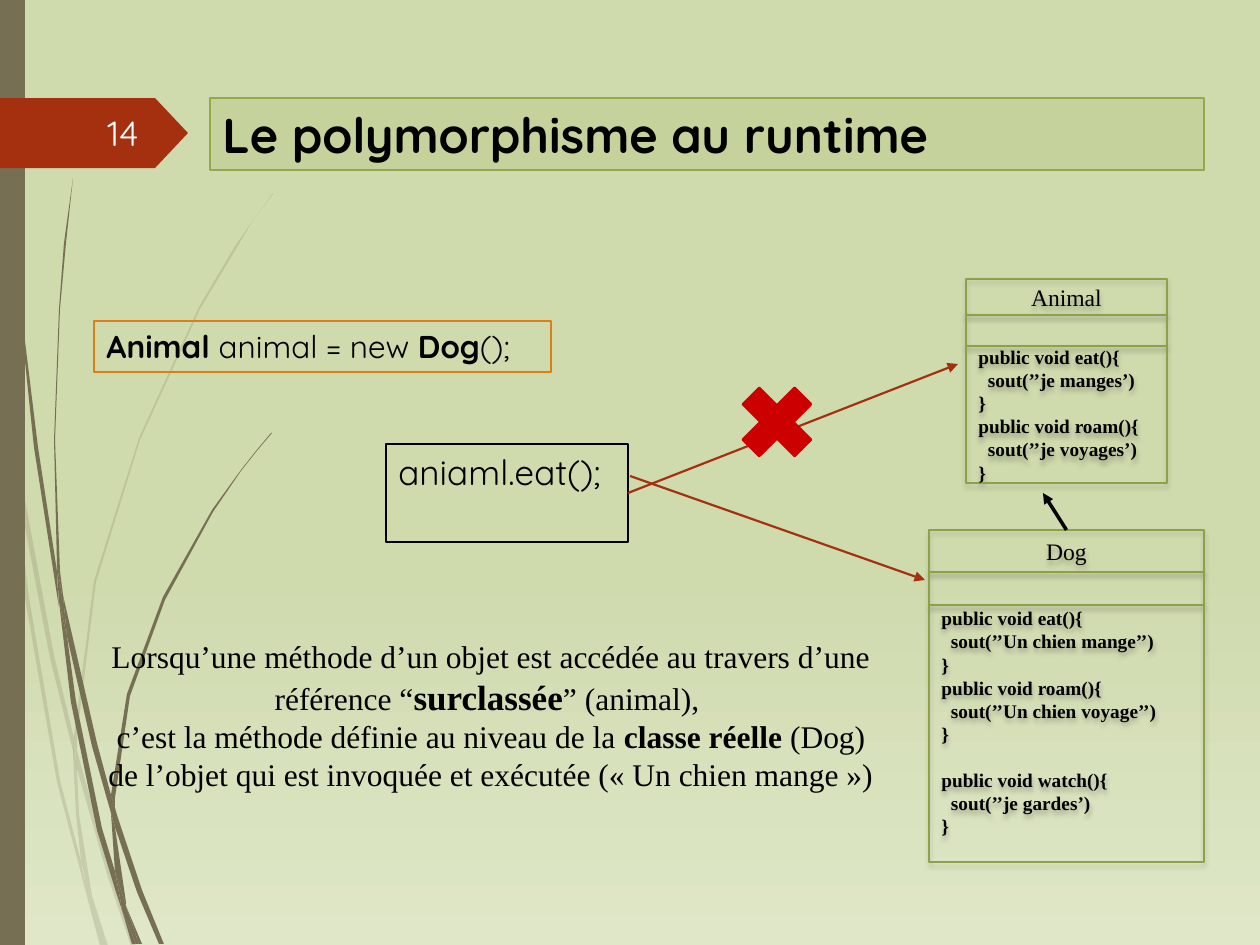
from lxml import etree
from pptx import Presentation, util as u
from pptx.dml.color import RGBColor
from pptx.enum import shapes as es, text as et
from pptx.oxml import parse_xml
from pptx.oxml.ns import qn, nsdecls

SCALE = 914400 / 126  # EMU in one px
W, H = 1260, 945
SANS, SERIF = "Quicksand", "Times New Roman"
C = {"bg": "CFDAAD", "bg_end": "DFE7C8", "stem": "766F54", "accent": "A53010",
     "title": "B6C882", "title_line": "92AA4C", "class": "8BA249",
     "code": "DE7E18", "black": "000000", "white": "FFFFFF", "cross": "CC0000"}
CENTER, RIGHT = et.PP_ALIGN.CENTER, et.PP_ALIGN.RIGHT
MIDDLE = et.MSO_ANCHOR.MIDDLE

# Outlines of the grass blades
PALE_BLADES = [
    [(10, 441), (8, 406), (0, 355), (0, 377), (9, 433)],
    [(50, 658), (74, 755), (74, 738), (54, 655), (13, 435), (15, 474)],
    [(81, 765), (77, 751), (77, 769), (107, 874), (131, 946), (136, 946), (111, 872)],
    [(105, 946), (108, 946), (92, 896)],
    [(81, 861), (60, 780), (28, 591), (15, 474), (10, 441), (24, 592), (57, 782),
     (81, 873), (88, 900), (87, 891)],
    [(73, 755), (76, 814), (81, 861), (84, 872), (92, 896), (91, 890), (79, 814),
     (77, 769), (77, 766)],
    [(77, 736), (96, 582), (140, 440), (200, 309), (236, 249), (253, 220), (273, 194),
     (273, 193), (253, 220), (234, 248), (199, 307), (139, 438), (94, 581), (74, 736),
     (74, 738), (77, 751)],
    [(88, 900), (100, 946), (103, 946)],
    [(77, 766), (77, 769), (77, 751), (74, 738), (73, 755)],
    [(84, 872), (82, 861), (87, 891), (88, 900), (103, 946), (105, 946), (92, 896)]]
DARK_BLADES = [
    [(6, 139), (18, 294), (34, 447), (58, 601), (59, 606), (57, 576), (57, 571),
     (38, 447), (19, 292), (8, 137), (5, 60), (4, 0), (3, 0), (4, 60)],
    [(92, 746), (111, 813), (111, 798), (111, 795), (97, 743), (63, 595), (67, 636)],
    [(118, 818), (115, 808), (115, 827), (137, 892), (159, 944), (164, 944), (142, 890)],
    [(115, 871), (102, 828), (76, 701), (67, 636), (59, 601), (71, 702), (97, 830),
     (116, 892), (122, 910), (121, 903)],
    [(63, 595), (60, 571), (55, 440), (60, 309), (66, 243), (73, 178), (64, 243),
     (59, 309), (54, 440), (57, 566), (62, 595)],
    [(139, 944), (142, 944), (126, 906)],
    [(59, 601), (67, 636), (63, 595), (62, 595), (57, 566), (57, 571)],
    [(115, 798), (130, 696), (165, 600), (213, 512), (241, 471), (256, 452), (272, 433),
     (271, 433), (256, 451), (241, 470), (212, 510), (163, 597), (127, 694), (111, 795),
     (115, 808)],
    [(122, 910), (132, 944), (136, 944)],
    [(111, 813), (115, 871), (121, 890), (126, 906), (126, 902), (115, 827), (113, 820)],
    [(111, 813), (113, 820), (115, 827), (115, 808), (111, 795), (111, 798)],
    [(121, 890), (115, 871), (121, 903), (122, 910), (136, 944), (139, 944), (126, 906)]]

ANIMAL_CODE = ["public void eat(){", "  sout(’’je manges’)", "}",
               "public void roam(){", "  sout(’’je voyages’)", "}"]
DOG_CODE = ["public void eat(){", "  sout(’’Un chien mange’’)", "}",
            "public void roam(){", "  sout(’’Un chien voyage’’)", "}", "",
            "public void watch(){", "  sout(’’je gardes’)", "}"]


def px(n):
    return round(n * SCALE)


def rgb(name):
    return RGBColor.from_string(C[name])


def paint(sp, fill=None, line=None, width=0.75, alpha=None):
    sp.shadow.inherit = False
    if fill:
        sp.fill.solid()
        sp.fill.fore_color.rgb = rgb(fill)
    else:
        sp.fill.background()
    if alpha:
        clr = sp._element.spPr.find(qn("a:solidFill"))[0]
        etree.SubElement(clr, qn("a:alpha"), val=str(alpha * 1000))
    if line:
        sp.line.color.rgb = rgb(line)
        sp.line.width = u.Pt(width)
    else:
        sp.line.fill.background()


def add_box(s, box, kind=es.MSO_SHAPE.RECTANGLE, **look):
    sp = s.shapes.add_shape(kind, *map(px, box))
    paint(sp, **look)
    return sp


def write(sp, paras, font, size, color="black", align=et.PP_ALIGN.LEFT,
          anchor=et.MSO_ANCHOR.TOP, **margins):
    """Fill sp with paragraphs, each a list of (text, font settings)."""
    tf = sp.text_frame
    for key, value in {"word_wrap": True, "vertical_anchor": anchor, **margins}.items():
        setattr(tf, key, value)
    for i, runs in enumerate(paras):
        p = tf.add_paragraph() if i else tf.paragraphs[0]
        p.alignment = align
        for words, extra in runs:
            r = p.add_run()
            r.text = words
            r.font.color.rgb = rgb(color)
            for key, value in {"name": font, "size": u.Pt(size), **extra}.items():
                setattr(r.font, key, value)
    return tf


def add_arrow(s, start, end, color, width, source=None, side=0):
    cx = s.shapes.add_connector(es.MSO_CONNECTOR.STRAIGHT, *map(px, start + end))
    if source is not None:
        cx.begin_connect(source, side)
    cx.line.color.rgb = rgb(color)
    cx.line.width = u.Pt(width)
    etree.SubElement(cx.line._get_or_add_ln(), qn("a:tailEnd"), type="triangle")
    etree.SubElement(cx._element.spPr, qn("a:effectLst"))


def blades(s, outlines, alpha=None):
    for outline in outlines:
        fb = s.shapes.build_freeform(*outline[0], scale=SCALE)
        fb.add_line_segments(outline[1:], close=True)
        paint(fb.convert_to_shape(), fill="stem", alpha=alpha)


def backdrop(s):
    fill = s.background.fill
    fill.gradient()
    fill.gradient_angle = 270
    for stop, pos, name in zip(fill.gradient_stops, (0.6, 1), ("bg", "bg_end")):
        stop.position = pos
        stop.color.rgb = rgb(name)
    blades(s, PALE_BLADES, alpha=20)
    blades(s, DARK_BLADES)
    add_box(s, (0, 0, 25, H), fill="stem")


def header(s, x, y, number, title):
    tag = add_box(s, (0, y, 188, 70), es.MSO_SHAPE.PENTAGON, fill="accent")
    tag.adjustments[0] = 0.47
    write(s.shapes.add_textbox(*map(px, (71, y + 10, 80, 50))), [[(number, {})]],
          SANS, 20, "white", RIGHT, MIDDLE)
    sp = add_box(s, (x, y, 994, 72), fill="title", alpha=40, line="title_line", width=1.25)
    write(sp, [[(title, {"bold": True})]], SANS, 28)


def class_box(s, x, y, w, heights, name, code, bottom):
    """UML class: name, empty field row and methods; returns the name box."""
    cells = []
    for h in heights:
        sp = add_box(s, (x, y, w, h), line="class")
        sp._element.spPr.find(qn("a:effectLst")).append(parse_xml(
            f'<a:outerShdw {nsdecls("a")} blurRad="38100" dist="25400" dir="5400000">'
            '<a:srgbClr val="000000"><a:alpha val="25000"/></a:srgbClr></a:outerShdw>'))
        cells.append(sp)
        y += h
    write(cells[0], [[(name, {})]], SERIF, 13.5, align=CENTER, anchor=MIDDLE)
    lines = [line for line in code if line]
    tf = write(cells[2], [[(line.strip(), {"bold": True})] for line in lines],
               SERIF, 11, anchor=MIDDLE, margin_bottom=px(bottom))
    for p, line in zip(tf.paragraphs, lines):
        if line.startswith(" "):
            p._p.get_or_add_pPr().set("marL", str(u.Pt(5.5)))
        if code[code.index(line) - 1] == "":
            p.space_before = u.Pt(13.2)
    return cells[0]


def call_diagram(s):
    dog = class_box(s, 929, 530, 275, (42, 33, 257), "Dog", DOG_CODE, 29)
    add_arrow(s, (1066, 530), (1043, 493), "black", 2, dog, 0)
    class_box(s, 966, 279, 201, (36, 31, 137), "Animal", ANIMAL_CODE, 6)
    bold = {"bold": True}
    write(add_box(s, (94, 321, 457, 51), line="code"),
          [[("Animal ", bold), ("animal = new ", {}), ("Dog", bold), ("();", {})]], SANS, 18)
    call = add_box(s, (386, 444, 242, 98), line="black")
    add_arrow(s, (628, 493), (958, 364), "accent", 1.25, call, 3)
    write(call, [[("aniaml.eat();", {})]], SANS, 20)
    add_arrow(s, (630, 476), (925, 580), "accent", 1.25)
    add_box(s, (727, 372, 100, 100), es.MSO_SHAPE.MATH_MULTIPLY,
            fill="cross", line="cross", width=1.25)


def explanation(s, box):
    write(s.shapes.add_textbox(*map(px, box)), [
        [("Lorsqu’une méthode d’un objet est accédée au travers d’une référence “", {}),
         ("surclassée", {"bold": True, "size": u.Pt(20)}), ("” (animal), ", {})],
        [("c’est la méthode définie au niveau de la ", {}),
         ("classe réelle ", {"bold": True}),
         ("(Dog) de l’objet qui est invoquée et exécutée («\u00a0Un chien mange\u00a0»)", {})],
    ], SERIF, 18, align=CENTER)


def main():
    prs = Presentation()
    prs.slide_width, prs.slide_height = px(W), px(H)
    s = prs.slides.add_slide(prs.slide_layouts[6])
    backdrop(s)
    header(s, 210, 98, "14", "Le polymorphisme au runtime")
    call_diagram(s)
    explanation(s, (93, 631, 796, 170))
    prs.save("out.pptx")


if __name__ == "__main__":
    main()
